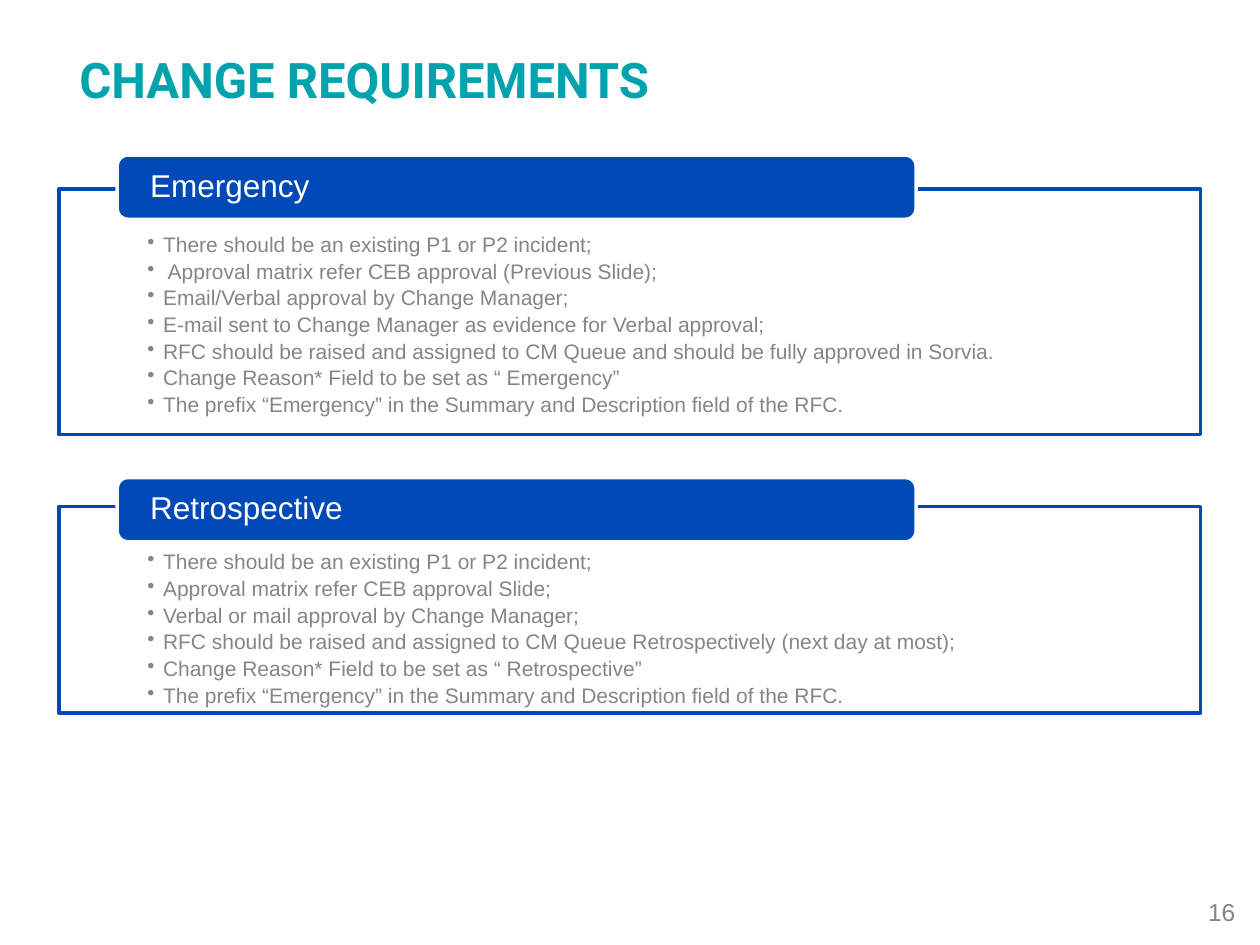
"""Build the change requirements slide with two headed panels."""
from lxml import etree
from pptx import Presentation
from pptx import util as u
from pptx.dml import color
from pptx.enum import shapes, text
from pptx.oxml import ns

Pt = u.Pt
HUES = {"teal": "00A3AD", "blue": "0049B6", "grey": "858585", "white": "FFFFFF"}
PANELS = [
    ("Emergency", 108, 140.4, 88.6, [
        "There should be an existing P1 or P2 incident;",
        " Approval matrix refer CEB approval (Previous Slide);",
        "Email/Verbal approval by Change Manager;",
        "E-mail sent to Change Manager as evidence for Verbal approval;",
        "RFC should be raised and assigned to CM Queue and should be fully approved in Sorvia.",
        "Change Reason* Field to be set as “ Emergency”",
        "The prefix “Emergency” in the Summary and Description field of the RFC.",
    ]),
    ("Retrospective", 289.4, 118.1, 272.9, [
        "There should be an existing P1 or P2 incident;",
        "Approval matrix refer CEB approval Slide;",
        "Verbal or mail approval by Change Manager;",
        "RFC should be raised and assigned to CM Queue Retrospectively (next day at most);",
        "Change Reason* Field to be set as “ Retrospective”",
        "The prefix “Emergency” in the Summary and Description field of the RFC.",
    ]),
]


def write(frame, words, size, hue, font="Arial", bold=False):
    frame.text = words
    for para in frame.paragraphs:
        para.alignment = text.PP_ALIGN.LEFT
        for run in para.runs:
            run.font.name = font
            run.font.size = Pt(size)
            run.font.bold = bold
            run.font.color.rgb = color.RGBColor.from_string(HUES[hue])


def block(kind, left, top, width, height, fill, line):
    box = slide.shapes.add_shape(kind, Pt(left), Pt(top), Pt(width), Pt(height))
    box.shadow.inherit = False
    box.fill.solid()
    box.fill.fore_color.rgb = color.RGBColor.from_string(HUES[fill])
    box.line.color.rgb = color.RGBColor.from_string(HUES[line])
    box.line.width = Pt(2)
    box.text_frame.word_wrap = True
    return box.text_frame


deck = Presentation()
deck.slide_width, deck.slide_height = Pt(720), Pt(540)
slide = deck.slides.add_slide(deck.slide_layouts[6])

page = slide.shapes.add_textbox(Pt(683.3), Pt(509), Pt(31.7), Pt(24.5)).text_frame
page.word_wrap = False
write(page, "16", 14, "grey")

title = slide.shapes.add_textbox(Pt(38.2), Pt(31.7), Pt(565.2), Pt(84.2)).text_frame
title.word_wrap = True
write(title, "CHANGE REQUIREMENTS", 28, "teal", "Roboto", True)
title.paragraphs[0].line_spacing = Pt(26.6)

for name, top, height, tab, items in PANELS:
    body = block(shapes.MSO_SHAPE.RECTANGLE, 33.8, top, 652.3, height, "white", "blue")
    body.vertical_anchor = text.MSO_ANCHOR.TOP
    body.margin_left = body.margin_right = Pt(50.4)
    body.margin_top, body.margin_bottom = Pt(25.9), Pt(6.5)
    write(body, "\n".join(items), 12, "grey")
    for para in body.paragraphs:
        para.line_spacing = 0.9
        para.space_after = Pt(2.3)
        props = para._p.get_or_add_pPr()
        props.set("marL", str(Pt(9)))
        props.set("indent", str(-Pt(9)))
        etree.SubElement(props, ns.qn("a:buChar")).set("char", "•")

    head = block(shapes.MSO_SHAPE.ROUNDED_RECTANGLE, 67, tab, 456.5, 36.7, "blue", "white")
    head.vertical_anchor = text.MSO_ANCHOR.MIDDLE
    head.margin_left = head.margin_right = Pt(17)
    head.margin_top = head.margin_bottom = 0
    write(head, name, 18, "white")
    head.paragraphs[0].line_spacing = 0.9

deck.save("out.pptx")
